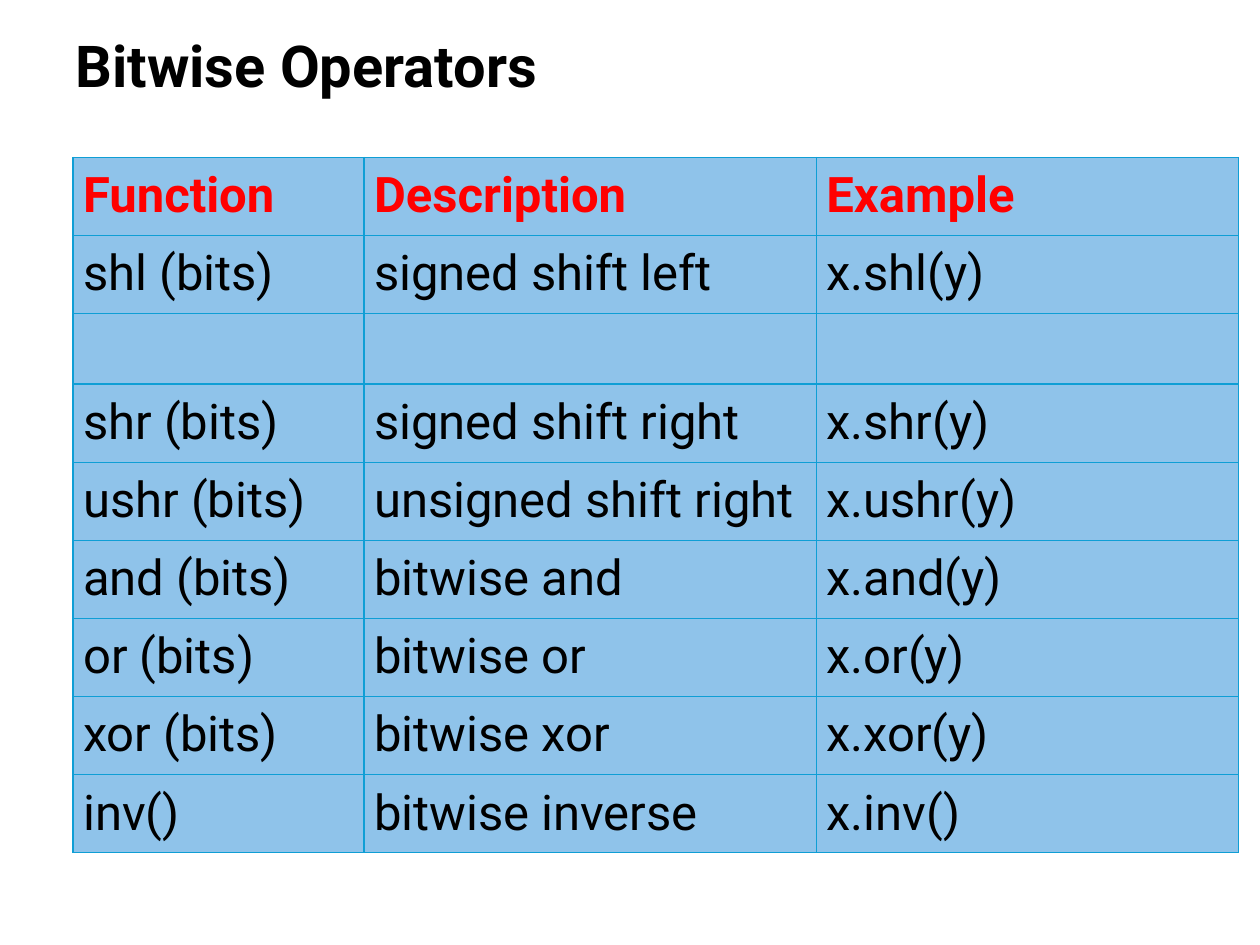
from typing import NamedTuple

from lxml import etree
from pptx import Presentation
from pptx.dml.color import RGBColor
from pptx.enum import text
from pptx.oxml import ns
from pptx.util import Inches, Pt

BLACK = RGBColor(0x00, 0x00, 0x00)
RED = RGBColor(0xFF, 0x00, 0x00)
CELL_BLUE = RGBColor(0x8F, 0xC3, 0xEA)
BORDER_BLUE = RGBColor(0x0F, 0x9E, 0xD5)

TITLE_FORMAT = {"name": "Roboto", "size": Pt(33), "bold": True}
HEADER_FORMAT = {"name": "Roboto", "size": Pt(28), "bold": True}
BODY_FORMAT = {**HEADER_FORMAT, "bold": False}

COLUMN_WIDTHS = (2.31, 3.59, 3.35)
ROW_HEIGHT = 0.62
GAP_ROW_HEIGHT = 0.56
CELL_MARGIN = Inches(0.08)


class Operator(NamedTuple):
    function: str
    description: str
    example: str


HEADER = Operator("Function", "Description", "Example")
GAP = Operator("", "", "")
ROWS = (
    HEADER,
    Operator("shl (bits)", "signed shift left", "x.shl(y)"),
    GAP,
    Operator("shr (bits)", "signed shift right", "x.shr(y)"),
    Operator("ushr (bits)", "unsigned shift right", "x.ushr(y)"),
    Operator("and (bits)", "bitwise and", "x.and(y)"),
    Operator("or (bits)", "bitwise or", "x.or(y)"),
    Operator("xor (bits)", "bitwise xor", "x.xor(y)"),
    Operator("inv()", "bitwise inverse", "x.inv()"),
)


def format_font(font, values: dict, color: RGBColor) -> None:
    for attribute, value in values.items():
        setattr(font, attribute, value)
    font.color.rgb = color


def add_borders(cell) -> None:
    properties = cell._tc.get_or_add_tcPr()
    for position, side in enumerate(("lnL", "lnR", "lnT", "lnB")):
        line = etree.Element(ns.qn(f"a:{side}"), w=str(Pt(1)))
        fill = etree.SubElement(line, ns.qn("a:solidFill"))
        etree.SubElement(fill, ns.qn("a:srgbClr"), val=str(BORDER_BLUE))
        properties.insert(position, line)  # borders come before the fill


def fill_cell(cell, words: str, values: dict, color: RGBColor) -> None:
    cell.fill.solid()
    cell.fill.fore_color.rgb = CELL_BLUE
    add_borders(cell)
    for side in ("left", "right", "top", "bottom"):
        setattr(cell, f"margin_{side}", CELL_MARGIN)
    if words:
        run = cell.text_frame.paragraphs[0].add_run()
        run.text = words
        format_font(run.font, values, color)


def add_title(slide, words: str) -> None:
    title = slide.shapes.title
    title.left, title.top = Inches(0.5), Inches(-0.08)
    title.width, title.height = Inches(9), Inches(1.25)
    frame = title.text_frame
    frame.text = words
    frame.vertical_anchor = text.MSO_ANCHOR.MIDDLE
    paragraph = frame.paragraphs[0]
    paragraph.alignment = text.PP_ALIGN.LEFT
    paragraph.line_spacing = 0.9
    format_font(paragraph.runs[0].font, TITLE_FORMAT, BLACK)


def add_operator_table(slide, rows: tuple[Operator, ...]) -> None:
    heights = [GAP_ROW_HEIGHT if row == GAP else ROW_HEIGHT for row in rows]
    table = slide.shapes.add_table(
        len(rows), len(COLUMN_WIDTHS), Inches(0.58), Inches(1.25),
        Inches(sum(COLUMN_WIDTHS)), Inches(sum(heights))).table
    table.first_row = table.horz_banding = False
    for column, width in zip(table.columns, COLUMN_WIDTHS):
        column.width = Inches(width)
    for table_row, height, operator in zip(table.rows, heights, rows):
        table_row.height = Inches(height)
        is_header = operator == HEADER
        values = HEADER_FORMAT if is_header else BODY_FORMAT
        color = RED if is_header else BLACK
        for cell, words in zip(table_row.cells, operator):
            fill_cell(cell, words, values, color)


def main() -> None:
    presentation = Presentation()
    presentation.slide_width, presentation.slide_height = Inches(10), Inches(7.5)
    # Title-only layout
    slide = presentation.slides.add_slide(presentation.slide_layouts[5])
    add_title(slide, "Bitwise Operators")
    add_operator_table(slide, ROWS)
    presentation.save("out.pptx")


if __name__ == "__main__":
    main()
